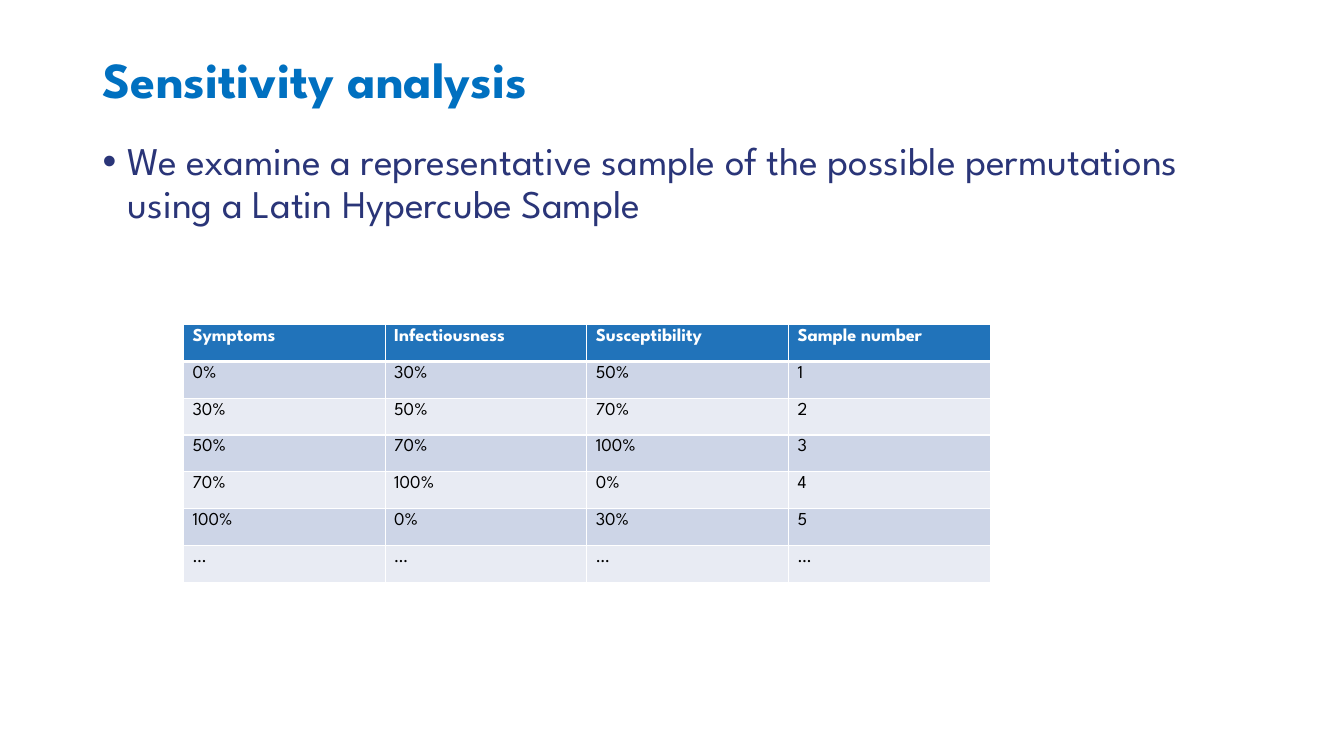
from dataclasses import dataclass

from lxml.etree import SubElement
from pptx import Presentation
from pptx.dml.color import RGBColor
from pptx.enum.text import MSO_ANCHOR, PP_ALIGN
from pptx.oxml.ns import qn
from pptx.util import Inches, Pt


@dataclass(frozen=True)
class Theme:
    font: str = "League Spartan"
    title_color: str = "0070C0"
    body_color: str = "2A3578"
    header_fill: str = "2173BA"
    band_fills: tuple = ("CDD5E7", "E8EBF3")
    cell_color: str = "000000"
    white: str = "FFFFFF"
    title_size: int = 36
    body_size: int = 28
    table_size: int = 13


THEME = Theme()
HEADERS = ["Symptoms", "Infectiousness", "Susceptibility", "Sample number"]
LEVELS = ["0%", "30%", "50%", "70%", "100%"]


def write_text(frame, text, size, color, bold=False, line_spacing=None, bullet=None):
    frame.word_wrap = True
    paragraph = frame.paragraphs[0]
    paragraph.text = text
    paragraph.alignment = PP_ALIGN.LEFT
    if line_spacing:
        paragraph.line_spacing = line_spacing
    if bullet:
        properties = paragraph._p.get_or_add_pPr()
        properties.set("marL", str(Inches(0.25)))
        properties.set("indent", str(Inches(-0.25)))
        SubElement(properties, qn("a:buFont"), typeface="Arial")
        SubElement(properties, qn("a:buChar"), char=bullet)
    font = paragraph.runs[0].font
    font.name = THEME.font
    font.size = Pt(size)
    font.bold = bold
    font.color.rgb = RGBColor.from_string(color)


def add_title(slide, text):
    title = slide.shapes.title
    title.left, title.top = Inches(0.92), Inches(0.4)
    title.width, title.height = Inches(11.5), Inches(0.83)
    title.text_frame.vertical_anchor = MSO_ANCHOR.MIDDLE
    write_text(title.text_frame, text, THEME.title_size, THEME.title_color,
               bold=True, line_spacing=0.9)


def add_bullet(slide, text):
    body = slide.shapes.add_textbox(Inches(0.92), Inches(1.36), Inches(11.5), Inches(5.25))
    write_text(body.text_frame, text, THEME.body_size, THEME.body_color,
               line_spacing=0.9, bullet="•")


def set_borders(cell, **widths):
    """Draw white cell borders; each keyword is a side (L, R, T, B) with its points."""
    properties = cell._tc.get_or_add_tcPr()
    for side, width in widths.items():
        line = SubElement(properties, qn(f"a:ln{side}"), w=str(Pt(width)))
        fill = SubElement(line, qn("a:solidFill"))
        SubElement(fill, qn("a:srgbClr"), val=THEME.white)


def latin_hypercube_rows():
    """Shift the levels by one step per factor, so each level occurs once per factor."""
    factors = len(HEADERS) - 1
    samples = [
        [LEVELS[(start + shift) % len(LEVELS)] for shift in range(factors)] + [str(start + 1)]
        for start in range(len(LEVELS))
    ]
    return samples + [["…"] * len(HEADERS)]


def add_sample_table(slide):
    rows = [HEADERS] + latin_hypercube_rows()
    table = slide.shapes.add_table(len(rows), len(HEADERS), Inches(1.82), Inches(3.22),
                                   Inches(8), Inches(2.56)).table
    for row_index, values in enumerate(rows):
        is_header = row_index == 0
        fill = THEME.header_fill if is_header else THEME.band_fills[(row_index - 1) % 2]
        color = THEME.white if is_header else THEME.cell_color
        for column_index, value in enumerate(values):
            cell = table.cell(row_index, column_index)
            cell.margin_left = cell.margin_right = Inches(0.09)
            cell.margin_top = cell.margin_bottom = Inches(0.04)
            set_borders(cell, L=1, R=1, T=3 if row_index == 1 else 1, B=3 if is_header else 1)
            cell.fill.solid()
            cell.fill.fore_color.rgb = RGBColor.from_string(fill)
            write_text(cell.text_frame, value, THEME.table_size, color, bold=is_header)


def main():
    presentation = Presentation()
    presentation.slide_width, presentation.slide_height = Inches(13.33), Inches(7.5)
    slide = presentation.slides.add_slide(presentation.slide_layouts.get_by_name("Title Only"))
    add_title(slide, "Sensitivity analysis")
    add_bullet(slide, "We examine a representative sample of the possible permutations "
                      "using a Latin Hypercube Sample")
    add_sample_table(slide)
    presentation.save("out.pptx")


if __name__ == "__main__":
    main()
